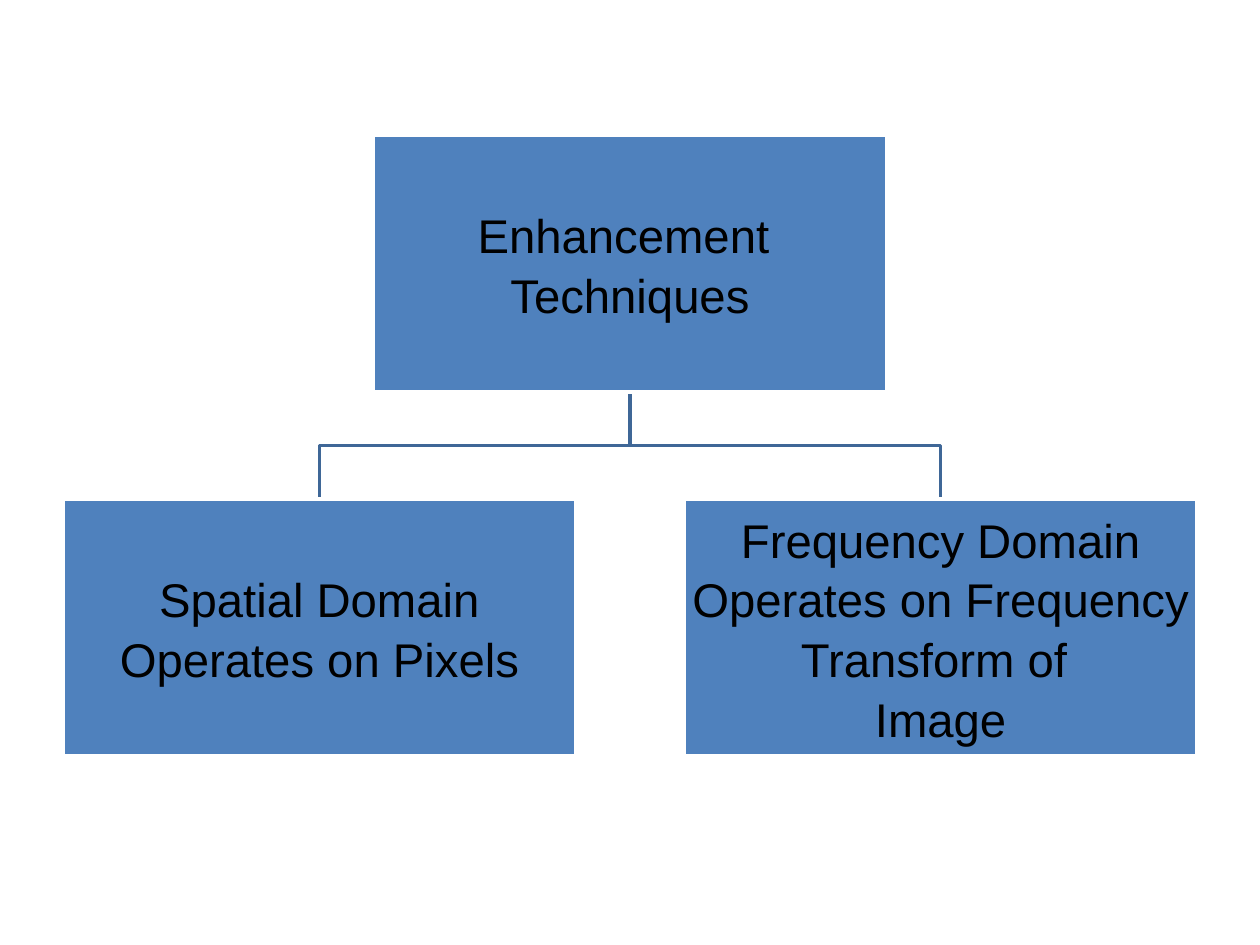
from dataclasses import dataclass

from pptx import Presentation
from pptx.dml.color import RGBColor
from pptx.enum.shapes import MSO_SHAPE
from pptx.enum.text import MSO_ANCHOR, PP_ALIGN
from pptx.util import Inches, Pt

RECTANGLE = MSO_SHAPE.RECTANGLE
MIDDLE = MSO_ANCHOR.MIDDLE
CENTER = PP_ALIGN.CENTER


@dataclass(frozen=True)
class Theme:
    box_fill = RGBColor(0x4F, 0x81, 0xBD)
    box_line = RGBColor(0xFF, 0xFF, 0xFF)
    branch_line = RGBColor(0x3F, 0x67, 0x97)
    text = RGBColor(0x00, 0x00, 0x00)
    font = "Arial"
    text_size = Pt(27)
    line_width = Pt(2)
    line_spacing = 1.05
    inset = Inches(0.02)


THEME = Theme()
BOX_WIDTH = Inches(4.07)
BOX_HEIGHT = Inches(2.04)

ROOT = ["Enhancement ", "Techniques"]
CHILDREN = [
    ["Spatial Domain", "Operates on Pixels"],
    ["Frequency Domain", "Operates on Frequency Transform of ", "Image"],
]


def add_branch(slide, start_x, start_y, end_x, end_y):
    """Draw an elbow that goes down, across and down again."""
    middle_y = (start_y + end_y) // 2
    builder = slide.shapes.build_freeform(start_x, start_y)
    builder.add_line_segments(
        [(start_x, middle_y), (end_x, middle_y), (end_x, end_y)], close=False
    )
    branch = builder.convert_to_shape()
    branch.shadow.inherit = False
    branch.fill.background()
    branch.line.color.rgb = THEME.branch_line
    branch.line.width = THEME.line_width


def add_box(slide, left, top, lines):
    box = slide.shapes.add_shape(RECTANGLE, left, top, BOX_WIDTH, BOX_HEIGHT)
    box.shadow.inherit = False
    box.fill.solid()
    box.fill.fore_color.rgb = THEME.box_fill
    box.line.color.rgb = THEME.box_line
    box.line.width = THEME.line_width

    frame = box.text_frame
    frame.word_wrap = True
    frame.vertical_anchor = MIDDLE
    frame.margin_left = frame.margin_right = THEME.inset
    frame.margin_top = frame.margin_bottom = THEME.inset
    frame.text = "\n".join(lines)
    for paragraph in frame.paragraphs:
        paragraph.alignment = CENTER
        paragraph.line_spacing = THEME.line_spacing
        paragraph.font.name = THEME.font
        paragraph.font.size = THEME.text_size
        paragraph.font.color.rgb = THEME.text


def add_hierarchy(slide, left, top, width, height):
    """Place the root centred above its evenly spread children."""
    root_left = left + (width - BOX_WIDTH) // 2
    child_top = top + height - BOX_HEIGHT
    step = (width - BOX_WIDTH) // (len(CHILDREN) - 1)
    child_lefts = [left + index * step for index in range(len(CHILDREN))]

    for child_left in child_lefts:
        add_branch(slide, left + width // 2, top + BOX_HEIGHT,
                   child_left + BOX_WIDTH // 2, child_top)
    add_box(slide, root_left, top, ROOT)
    for child_left, lines in zip(child_lefts, CHILDREN):
        add_box(slide, child_left, child_top, lines)


def main():
    presentation = Presentation()
    presentation.slide_width = Inches(10)
    presentation.slide_height = Inches(7.5)
    slide = presentation.slides.add_slide(presentation.slide_layouts[6])
    add_hierarchy(slide, Inches(0.5), Inches(1.07), Inches(9), Inches(4.93))
    presentation.save("out.pptx")


if __name__ == "__main__":
    main()
